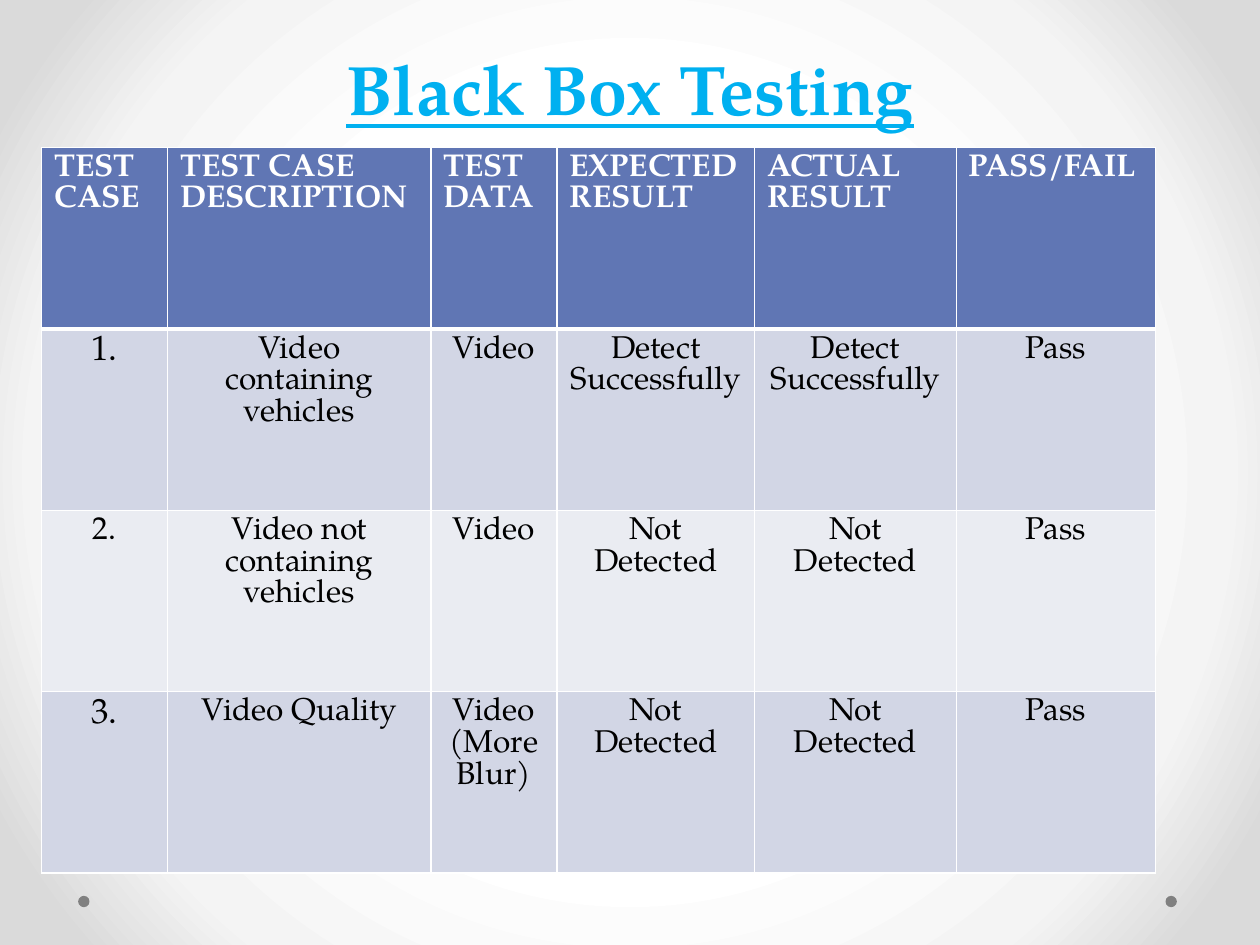
import pptx
import pptx.util
import pptx.dml.color
import pptx.enum.shapes
import pptx.enum.text
import pptx.oxml
import pptx.oxml.ns
from lxml import etree

Inches, Pt = pptx.util.Inches, pptx.util.Pt
RGB = pptx.dml.color.RGBColor.from_string
ALIGN = pptx.enum.text.PP_ALIGN
FONT = "TeX Gyre Pagella"
COLORS = {
    "title": "00B0F0", "header": "6076B4", "odd": "D2D6E5", "even": "EAECF2",
    "white": "FFFFFF", "text": "000000", "dot": "808080",
}
GRADIENT = [(50, "FFFFFF"), (76, "F4F4F4"), (92, "DADADA")]
COLS = [1, 2.09, 1, 1.57, 1.6, 1.58]
ROW_HEIGHT = 1.44
ROWS = [
    ["TEST CASE", "TEST CASE DESCRIPTION", "TEST DATA", "EXPECTED RESULT", "ACTUAL RESULT", "PASS/FAIL"],
    ["1.", "Video containing vehicles", "Video", "Detect Successfully", "Detect Successfully", "Pass"],
    ["2.", "Video not containing vehicles", "Video", "Not Detected", "Not Detected", "Pass"],
    ["3.", "Video Quality", "Video\n(More Blur)", "Not Detected", "Not Detected", "Pass"],
]


def add_run(p, text, size, color, bold):
    r = p.add_run()
    r.text = text
    r.font.name = FONT
    r.font.size = Pt(size)
    r.font.bold = bold
    r.font.color.rgb = RGB(COLORS[color])
    return r


def add_border(cell, side, width):
    tcPr = cell._tc.get_or_add_tcPr()
    ln = etree.SubElement(tcPr, pptx.oxml.ns.qn(f"a:ln{side}"), w=str(Pt(width)))
    fill = etree.SubElement(ln, pptx.oxml.ns.qn("a:solidFill"))
    etree.SubElement(fill, pptx.oxml.ns.qn("a:srgbClr"), val=COLORS["white"])


prs = pptx.Presentation()
prs.slide_width, prs.slide_height = Inches(10), Inches(7.5)
s = prs.slides.add_slide(prs.slide_layouts[5])

s.background.fill.solid()
solid = s.background._cSld.find(".//" + pptx.oxml.ns.qn("a:solidFill"))
stops = "".join(
    f'<a:gs pos="{pos * 1000}"><a:srgbClr val="{color}"/></a:gs>' for pos, color in GRADIENT
)
solid.getparent().replace(solid, pptx.oxml.parse_xml(
    f'<a:gradFill {pptx.oxml.ns.nsdecls("a")} rotWithShape="1"><a:gsLst>{stops}</a:gsLst>'
    '<a:path path="circle"><a:fillToRect l="50000" t="50000" r="50000" b="50000"/></a:path>'
    '</a:gradFill>'
))

for left in (9.25, 0.62):
    dot = s.shapes.add_shape(
        pptx.enum.shapes.MSO_SHAPE.OVAL, Inches(left), Inches(7.11), Inches(0.09), Inches(0.09)
    )
    dot.shadow.inherit = False
    dot.fill.solid()
    dot.fill.fore_color.rgb = RGB(COLORS["dot"])
    dot.line.fill.background()

frame = s.shapes.add_table(
    len(ROWS), len(COLS), Inches(0.33), Inches(1.17), Inches(sum(COLS)), Inches(ROW_HEIGHT * len(ROWS))
)
table = frame.table
for col, width in zip(table.columns, COLS):
    col.width = Inches(width)
for i, values in enumerate(ROWS):
    table.rows[i].height = Inches(ROW_HEIGHT)
    fill = "header" if i == 0 else "odd" if i % 2 else "even"
    for j, value in enumerate(values):
        cell = table.cell(i, j)
        for side, width in zip("LRTB", (1, 1, 3 if i == 1 else 1, 3 if i == 0 else 1)):
            add_border(cell, side, width)
        cell.fill.solid()
        cell.fill.fore_color.rgb = RGB(COLORS[fill])
        tf = cell.text_frame
        for k, line in enumerate(value.split("\n")):
            p = tf.add_paragraph() if k else tf.paragraphs[0]
            p.alignment = ALIGN.CENTER if i else ALIGN.LEFT
            size = 20 if j == 0 and i in (1, 3) else 18
            add_run(p, line, size, "text" if i else "white", i == 0)

title = s.shapes.title
title.left, title.top, title.width, title.height = Inches(0.5), 0, Inches(9), Inches(1.08)
tf = title.text_frame
tf.word_wrap = True
tf.auto_size = pptx.enum.text.MSO_AUTO_SIZE.NONE
tf.vertical_anchor = pptx.enum.text.MSO_ANCHOR.BOTTOM
p = tf.paragraphs[0]
p.alignment = ALIGN.CENTER
p.line_spacing = Pt(58)
r = add_run(p, "Black Box Testing", 40, "title", True)
r.font.underline = True

prs.save("out.pptx")
